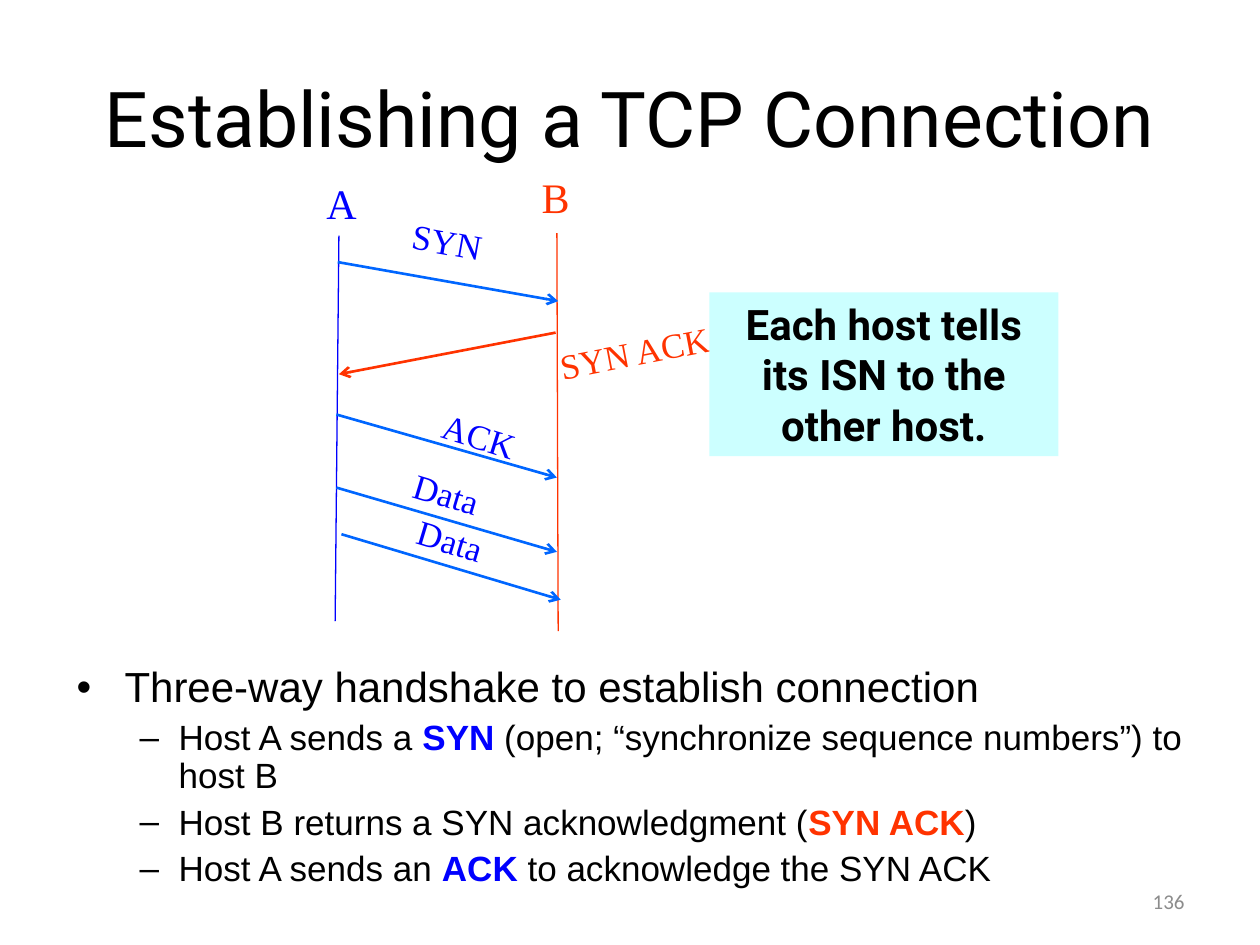
from dataclasses import dataclass

from lxml.etree import SubElement
from pptx import Presentation
from pptx.dml.color import RGBColor
from pptx.enum.shapes import MSO_CONNECTOR as Link, MSO_SHAPE as Shape
from pptx.enum.text import MSO_ANCHOR as Anchor, PP_ALIGN as Align
from pptx.oxml.ns import qn
from pptx.util import Inches, Pt

BLACK = RGBColor(0x00, 0x00, 0x00)
BLUE = RGBColor(0x00, 0x00, 0xFF)
AZURE = RGBColor(0x00, 0x66, 0xFF)
RED = RGBColor(0xFF, 0x33, 0x00)
CYAN = RGBColor(0xCC, 0xFF, 0xFF)
GRAY = RGBColor(0x8C, 0x8C, 0x8C)
SERIF = "Times New Roman"


@dataclass
class Host:
    name: str
    color: RGBColor
    box: tuple
    start: tuple
    end: tuple


@dataclass
class Message:
    label: str
    start: tuple
    end: tuple
    box: tuple
    angle: float
    line: RGBColor = AZURE
    color: RGBColor = BLUE


@dataclass
class Point:
    runs: list
    level: int = 1


HOSTS = [
    Host("A", BLUE, (2.49, 1.36, 0.44, 0.5), (2.69, 1.87), (2.66, 4.93)),
    Host("B", RED, (4.2, 1.31, 0.42, 0.5), (4.42, 1.85), (4.43, 5.01)),
]
MESSAGES = [
    Message("SYN", (2.68, 2.08), (4.43, 2.39), (3.17, 1.7, 0.76, 0.43), 10.1),
    Message("SYN ACK", (4.41, 2.64), (2.69, 2.97),
            (4.32, 2.58, 1.43, 0.43), -10.9, RED, RED),
    Message("ACK", (2.67, 3.29), (4.42, 3.79), (3.41, 3.24, 0.79, 0.43), 17.4),
    Message("Data", (2.67, 3.87), (4.42, 4.38), (3.18, 3.7, 0.73, 0.43), 16.7),
    Message("Data", (2.71, 4.24), (4.45, 4.76), (3.21, 4.07, 0.73, 0.43), 16.7),
]
POINTS = [
    Point([("Three-way handshake to establish connection", BLACK)], 0),
    Point([("Host A sends a ", BLACK), ("SYN", BLUE),
           (" (open; “synchronize sequence numbers”) to host B", BLACK)]),
    Point([("Host B returns a SYN acknowledgment (", BLACK),
           ("SYN ACK", RED), (")", BLACK)]),
    Point([("Host A sends an ", BLACK), ("ACK", BLUE),
           (" to acknowledge the SYN ACK", BLACK)]),
]
LEVELS = [("•", 0.38, -0.38, 24), ("–", 0.81, -0.31, 20)]


def style(font, face: str, size: float, color: RGBColor, bold: bool = False):
    font.name = face
    font.size = Pt(size)
    font.color.rgb = color
    font.bold = bold


def write(slide, text: str, box: tuple, *, face: str = SERIF, size: float = 20,
          color: RGBColor = BLACK, bold: bool = False, align=Align.CENTER,
          anchor=Anchor.MIDDLE, wrap: bool = True, angle: float = 0,
          fill: RGBColor | None = None):
    place = [Inches(n) for n in box]
    if fill is None:
        shape = slide.shapes.add_textbox(*place)
    else:
        shape = slide.shapes.add_shape(Shape.RECTANGLE, *place)
        shape.shadow.inherit = False
        shape.fill.solid()
        shape.fill.fore_color.rgb = fill
        shape.line.fill.background()
    shape.rotation = angle
    frame = shape.text_frame
    frame.word_wrap = wrap
    frame.vertical_anchor = anchor
    para = frame.paragraphs[0]
    para.alignment = align
    run = para.add_run()
    run.text = text
    style(run.font, face, size, color, bold)


def draw(slide, start: tuple, end: tuple, color: RGBColor, width: float,
         arrow: bool = False):
    ends = [Inches(n) for n in start + end]
    line = slide.shapes.add_connector(Link.STRAIGHT, *ends)
    line.line.color.rgb = color
    line.line.width = Pt(width)
    if arrow:
        SubElement(line.line._get_or_add_ln(), qn("a:tailEnd"), type="arrow")
    SubElement(line._element.spPr, qn("a:effectLst"))


def outline(slide, points: list[Point], box: tuple):
    frame = slide.shapes.add_textbox(*[Inches(n) for n in box]).text_frame
    frame.word_wrap = True
    for i, point in enumerate(points):
        para = frame.add_paragraph() if i else frame.paragraphs[0]
        mark, left, indent, size = LEVELS[point.level]
        para.level = point.level
        para.line_spacing = 0.9
        para.space_before = Pt(5 if i else 0)
        props = para._p.get_or_add_pPr()
        props.set("marL", str(Inches(left)))
        props.set("indent", str(Inches(indent)))
        SubElement(props, qn("a:buFont"), typeface="Arial")
        SubElement(props, qn("a:buChar"), char=mark)
        for text, color in point.runs:
            run = para.add_run()
            run.text = text
            style(run.font, "Arial", size, color, color != BLACK)


def main():
    deck = Presentation()
    deck.slide_width = Inches(10)
    deck.slide_height = Inches(7.5)
    slide = deck.slides.add_slide(deck.slide_layouts[6])

    write(slide, "Establishing a TCP Connection", (0.5, 0.3, 9, 1.25),
          face="Roboto", size=44)
    outline(slide, POINTS, (0.51, 5.24, 9.25, 2.1))
    for host in HOSTS:
        draw(slide, host.start, host.end, host.color, 0.75)
        write(slide, host.name, host.box, size=24, color=host.color, wrap=False)
    for msg in MESSAGES:
        draw(slide, msg.start, msg.end, msg.line, 1.5, arrow=True)
        write(slide, msg.label, msg.box, color=msg.color, wrap=False,
              angle=msg.angle)
    write(slide, "Each host tells its ISN to the other host.",
          (5.63, 2.32, 2.77, 1.3), face="Roboto", size=24, bold=True,
          anchor=Anchor.TOP, fill=CYAN)
    write(slide, "136", (7.17, 6.95, 2.33, 0.4), face="Calibri", size=12,
          color=GRAY, align=Align.RIGHT)
    deck.save("out.pptx")


if __name__ == "__main__":
    main()
